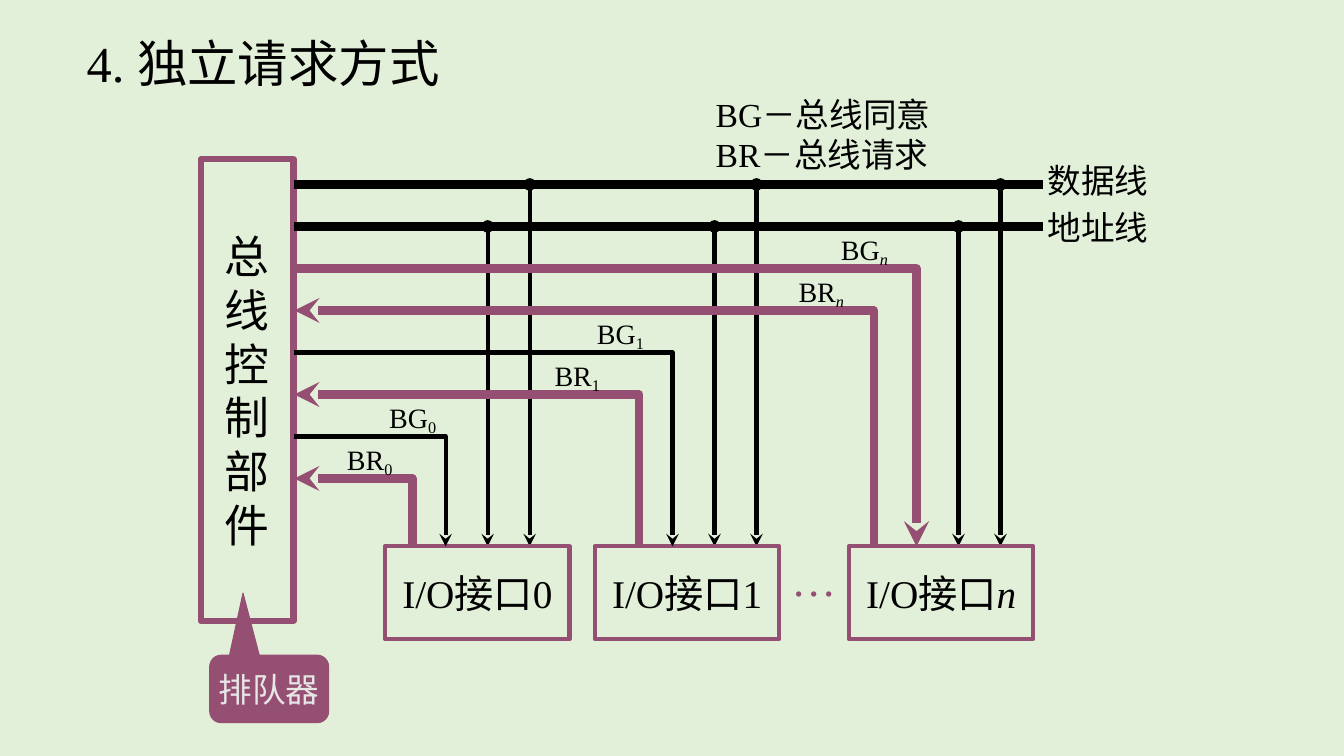
from dataclasses import dataclass
from typing import NamedTuple

from lxml.etree import SubElement
from pptx import Presentation
from pptx.dml.color import RGBColor as Rgb
from pptx.enum.shapes import MSO_CONNECTOR as Connector, MSO_SHAPE as Preset
from pptx.enum.text import MSO_ANCHOR as Anchor, PP_ALIGN as Align
from pptx.oxml.ns import qn
from pptx.util import Inches, Pt


@dataclass(frozen=True)
class Theme:
    """Colours, font and sizes of the slide."""
    background: Rgb = Rgb.from_string("E2F0D9")
    accent: Rgb = Rgb.from_string("954F72")
    ink: Rgb = Rgb.from_string("000000")
    pale: Rgb = Rgb.from_string("E7E6E6")
    font: str = "Times New Roman"
    title: int = 36
    unit: int = 32
    interface: int = 28
    note: int = 24
    signal: int = 20
    thin: int = 3
    frame: float = 4.5
    thick: int = 6


class Box(NamedTuple):
    """A region in inches."""
    left: float
    top: float
    width: float
    height: float

    def inside(self, left, top, width, height):
        """Return a box placed relative to this one."""
        return Box(self.left + left, self.top + top, width, height)

    def lengths(self):
        """Return the box as slide lengths."""
        return [Inches(value) for value in self]


class Interface(NamedTuple):
    """An I/O interface and the offsets of its signals."""
    name: str
    left: float
    request: float
    grant: float
    label: float
    highlighted: bool


THEME = Theme()
LANE = 5 / 12
BUS_LENGTH = 7.42
INTERFACES = [
    Interface("0", 0.9, 1.17, 1.5, 0.52, False),
    Interface("1", 2.98, 3.42, 3.75, 2.58, False),
    Interface("n", 5.5, 5.75, 6.17, 5.0, True),
]


def write(shape, paragraphs, size, color=THEME.ink, align=Align.LEFT, inset=0.1, **frame):
    """Fill a shape with paragraphs of (text, font format) runs."""
    text_frame = shape.text_frame
    layout = {"word_wrap": True, "margin_left": Inches(inset), "margin_right": Inches(inset),
              "margin_top": Inches(inset / 2), "margin_bottom": Inches(inset / 2), **frame}
    for name, value in layout.items():
        setattr(text_frame, name, value)
    for index, runs in enumerate(paragraphs):
        paragraph = text_frame.add_paragraph() if index else text_frame.paragraphs[0]
        paragraph.alignment = align
        for text, extra in runs:
            run = paragraph.add_run()
            run.text = text
            values = {"name": THEME.font, "size": Pt(size), "bold": False, **extra}
            baseline = values.pop("baseline", None)
            for name, value in values.items():
                setattr(run.font, name, value)
            run.font.color.rgb = color
            if baseline:
                run.font._element.set("baseline", baseline)


def add_text(slide, box, paragraphs, size, **options):
    """Add a text box."""
    write(slide.shapes.add_textbox(*box.lengths()), paragraphs, size, **options)


def add_frame(slide, preset, box, weight, fill=None):
    """Add an accent-outlined preset shape."""
    shape = slide.shapes.add_shape(preset, *box.lengths())
    shape.shadow.inherit = False
    if fill is None:
        shape.fill.background()
    else:
        shape.fill.solid()
        shape.fill.fore_color.rgb = fill
    shape.line.color.rgb = THEME.accent
    shape.line.width = Pt(weight)
    return shape


def stroke(shape, color, weight, head=None, tail=None):
    """Format a line and its two ends."""
    shape.line.color.rgb = color
    shape.line.width = Pt(weight)
    properties = shape.element.spPr
    outline = properties.find(qn("a:ln"))
    SubElement(outline, qn("a:round"))
    for tag, kind in (("a:headEnd", head), ("a:tailEnd", tail)):
        if kind:
            SubElement(outline, qn(tag)).set("type", kind)
    if properties.find(qn("a:effectLst")) is None:
        SubElement(properties, qn("a:effectLst"))


def add_line(slide, start, end, weight, **ends):
    """Add a straight black line."""
    points = [Inches(value) for value in (*start, *end)]
    stroke(slide.shapes.add_connector(Connector.STRAIGHT, *points), THEME.ink, weight, **ends)


def add_signal(slide, points, highlighted):
    """Add a bent signal line with an arrow at its end."""
    start, *rest = [(Inches(x), Inches(y)) for x, y in points]
    builder = slide.shapes.build_freeform(*start)
    builder.add_line_segments(rest, close=False)
    signal = builder.convert_to_shape()
    signal.fill.background()
    signal.shadow.inherit = False
    color, weight = (THEME.accent, THEME.thick) if highlighted else (THEME.ink, THEME.thin)
    stroke(signal, color, weight, tail="stealth")


def name_runs(prefix, name, **extra):
    """Return a prefix and its name, italic when it is a variable."""
    return [(prefix, {}), (name, {"italic": name.isalpha(), **extra})]


def draw_title(slide, box):
    """Place the heading."""
    title = slide.shapes.title
    title.left, title.top, title.width, title.height = box.lengths()
    write(title, [[("4. 独立请求方式", {})]], THEME.title, vertical_anchor=Anchor.TOP)


def draw_legend(slide, box):
    """Explain the signal names."""
    add_text(slide, box, [[("BG-总线同意".replace("-", "－"), {})],
                          [("BR－总线请求", {})]], THEME.note)


def draw_controller(slide, box):
    """Draw the bus controller and its queue callout."""
    controller = add_frame(slide, Preset.RECTANGLE, box, THEME.frame)
    write(controller, [[(character, {})] for character in "总线控制部件"], THEME.unit,
          align=Align.CENTER, vertical_anchor=Anchor.MIDDLE, word_wrap=False)
    queue = add_frame(slide, Preset.ROUNDED_RECTANGULAR_CALLOUT,
                      box.inside(0.09, 4.92, 1.18, 0.67), 0.75, THEME.accent)
    for index, value in enumerate((-0.22, -1.42, 0.17)):
        queue.adjustments[index] = value
    write(queue, [[("排队器", {})]], THEME.note, color=THEME.pale, align=Align.CENTER,
          vertical_anchor=Anchor.MIDDLE, word_wrap=False)


def draw_buses(slide, box):
    """Draw the data and address lines with their taps."""
    for row, name in enumerate(("数据线", "地址线")):
        level = box.top + row * LANE
        add_line(slide, (box.left, level), (box.left + BUS_LENGTH, level), THEME.thick)
        add_text(slide, box.inside(7.37, -0.29 + row * 0.46, 1.25, 0.5),
                 [[(name, {})]], THEME.note)
        for interface in INTERFACES:
            tap = box.left + interface.grant + (2 - row) * LANE
            add_line(slide, (tap, level), (tap, box.top + box.height), THEME.thin,
                     head="oval", tail="stealth")


def draw_interfaces(slide, box):
    """Draw the interfaces and their grant and request signals."""
    bottom = box.top + box.height
    for index, interface in enumerate(INTERFACES):
        frame = add_frame(slide, Preset.RECTANGLE,
                          box.inside(interface.left, box.height, 1.83, 0.92), THEME.thin)
        write(frame, [name_runs("I/O接口", interface.name)], THEME.interface,
              align=Align.CENTER, vertical_anchor=Anchor.MIDDLE, word_wrap=False)
        grant_row, request_row = ((6 - 2 * index + step) * LANE for step in (0, 1))
        grant, request = box.left + interface.grant, box.left + interface.request
        add_signal(slide, [(box.left, box.top + grant_row), (grant, box.top + grant_row),
                           (grant, bottom)], interface.highlighted)
        add_signal(slide, [(request, bottom), (request, box.top + request_row),
                           (box.left, box.top + request_row)], True)
        for prefix, row, shift in (("BG", grant_row, 0.42), ("BR", request_row, 0)):
            add_text(slide, box.inside(interface.label + shift, row - 0.36, 0.92, 0.33),
                     [name_runs(prefix, interface.name, baseline="-20000")],
                     THEME.signal, inset=0)
    add_text(slide, box.inside(4.83, box.height, 0.65, 0.63), [[("…", {})]],
             THEME.unit, color=THEME.accent)


def build():
    """Build and save the slide."""
    deck = Presentation()
    deck.slide_width, deck.slide_height = Inches(13.33), Inches(7.5)
    slide = deck.slides.add_slide(deck.slide_layouts[5])
    slide.background.fill.solid()
    slide.background.fill.fore_color.rgb = THEME.background
    wiring = Box(2.92, 1.83, BUS_LENGTH, 3.59)
    draw_title(slide, Box(0.76, 0.27, 4.6, 0.7))
    draw_controller(slide, Box(1.99, 1.58, 0.92, 4.58))
    draw_buses(slide, wiring)
    draw_interfaces(slide, wiring)
    draw_legend(slide, Box(7, 0.88, 2.58, 0.9))
    deck.save("out.pptx")


build()
